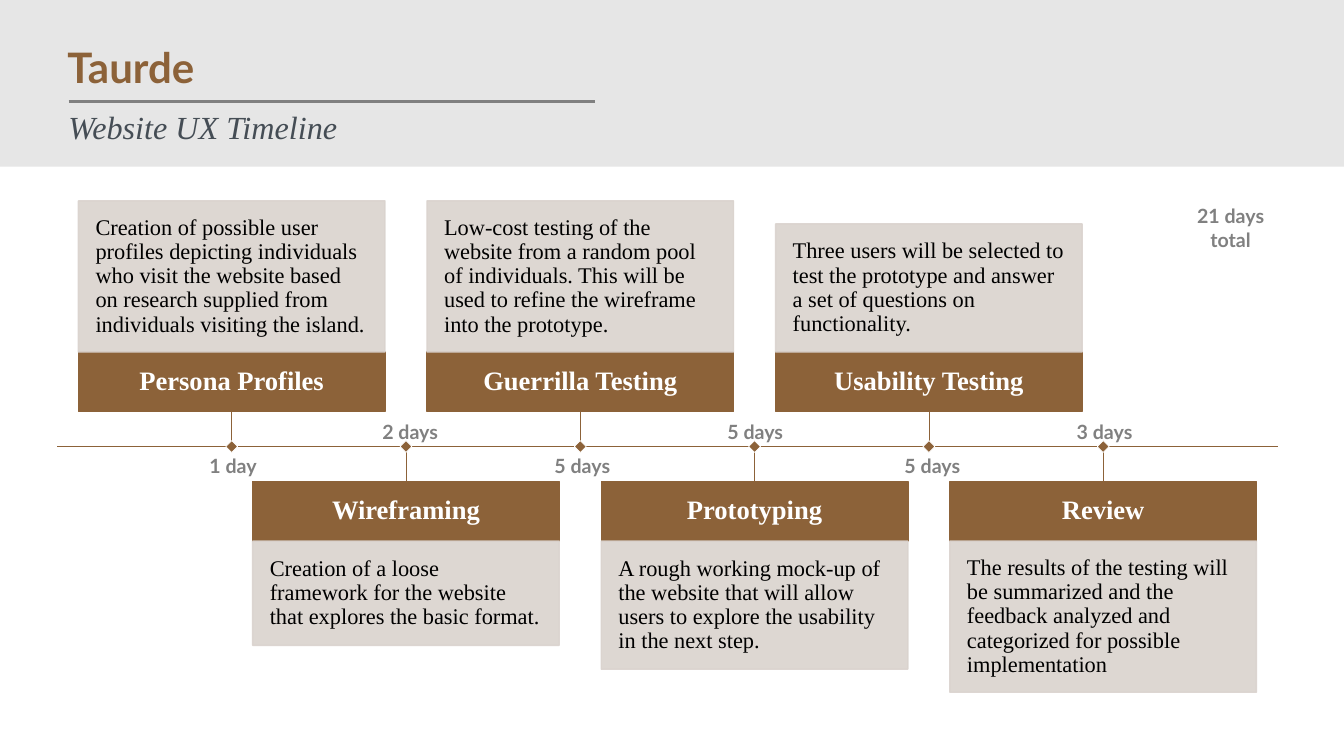
from lxml import etree
from pptx import Presentation
from pptx.dml.color import RGBColor
from pptx.enum import shapes, text
from pptx.oxml.ns import qn
from pptx.util import Pt

COLORS = {"brown": "8C6239", "sand": "DAD3CE", "band": "E6E6E6", "gray": "808080",
          "slate": "454D55", "white": "FFFFFF", "black": "000000"}
SERIF, SANS = "Times New Roman", "Lato"
LEFT, MIDDLE = text.PP_ALIGN.LEFT, text.MSO_ANCHOR.MIDDLE


def color(name):
    return RGBColor.from_string(COLORS[name])


def write(sp, words, size=16, font=SERIF, fill="black", bold=False, italic=False,
          align=text.PP_ALIGN.CENTER, anchor=MIDDLE, spacing=0.9, inset=None, wrap=True):
    tf = sp.text_frame
    tf.word_wrap = wrap
    tf.vertical_anchor = anchor
    if inset is not None:
        tf.margin_left = tf.margin_right = tf.margin_top = tf.margin_bottom = Pt(inset)
    p = tf.paragraphs[0]
    p.alignment = align
    p.line_spacing = spacing
    r = p.add_run()
    r.text = words
    r.font.size, r.font.name = Pt(size), font
    r.font.bold, r.font.italic = bold, italic
    r.font.color.rgb = color(fill)


prs = Presentation()
prs.slide_width, prs.slide_height = Pt(960), Pt(540)
s = prs.slides.add_slide(prs.slide_layouts[5])

title = s.shapes.title
title.left, title.top, title.width, title.height = Pt(41), Pt(21.5), Pt(843), Pt(57)
write(title, "Taurde", size=30, font=SANS, fill="brown", bold=True, align=LEFT)
subtitle = s.shapes.add_textbox(Pt(41.75), Pt(76), Pt(843), Pt(32.5))
write(subtitle, "Website UX Timeline", size=23, fill="slate", italic=True,
      align=LEFT, anchor=text.MSO_ANCHOR.TOP)

CARD_LEFT, CARD_W, STEP = 56, 219, 124.5
HEAD_H, AXIS_Y, GAP, DOT = 42.5, 319, 25, 6
steps = [
    ("Persona Profiles", "Creation of possible user profiles depicting individuals who visit "
     "the website based on research supplied from individuals visiting the island.",
     108, "1 day", 166.5),
    ("Wireframing", "Creation of a loose framework for the website that explores the basic "
     "format.", 74.5, "2 days", 293),
    ("Guerrilla Testing", "Low-cost testing of the website from a random pool of individuals. "
     "This will be used to refine the wireframe into the prototype.", 108, "5 days", 416),
    ("Prototyping", "A rough working mock-up of the website that will allow users to explore "
     "the usability in the next step.", 91.5, "5 days", 539.5),
    ("Usability Testing", "Three users will be selected to test the prototype and answer a set "
     "of questions on functionality.", 91.5, "5 days", 666),
    ("Review", "The results of the testing will be summarized and the feedback analyzed and "
     "categorized for possible implementation", 108, "3 days", 789),
]

rects = [(0, 0, 960, 119, "band", None, 0, "")]
lines = [(49, 72.5, 425, 72.5, "gray", 1.5), (41, AXIS_Y, 913, AXIS_Y, "brown", 1)]
dots, labels = [], [("21 days total", 839.5, 142, 79, 41, True)]
for i, (name, detail, body_h, days, label_x) in enumerate(steps):
    x = CARD_LEFT + i * STEP
    center = x + CARD_W / 2
    above = i % 2 == 0
    head_y = AXIS_Y - GAP - HEAD_H if above else AXIS_Y + GAP
    body_y = head_y - body_h if above else head_y + HEAD_H
    rects.append((x, head_y, CARD_W, HEAD_H, "brown", "brown", 1, name))
    rects.append((x, body_y, CARD_W, body_h, "sand", "sand", 1, detail))
    lines.append((center, AXIS_Y, center, AXIS_Y - GAP if above else AXIS_Y + GAP, "brown", 0.5))
    dots.append((center - DOT / 2, AXIS_Y - DOT / 2, DOT, DOT, "brown", "white", 0.5, ""))
    labels.append((days, label_x - 30, 320.5 if above else 296, 60, 24.5, False))

for x1, y1, x2, y2, stroke, width in lines:
    line = s.shapes.add_connector(shapes.MSO_CONNECTOR.STRAIGHT, Pt(x1), Pt(y1), Pt(x2), Pt(y2))
    line.line.color.rgb = color(stroke)
    line.line.width = Pt(width)
    etree.SubElement(line.element.spPr, qn("a:effectLst"))

for x, y, w, h, fill, stroke, width, words in rects + dots:
    sp = s.shapes.add_shape(shapes.MSO_SHAPE.RECTANGLE, Pt(x), Pt(y), Pt(w), Pt(h))
    sp.shadow.inherit = False
    sp.fill.solid()
    sp.fill.fore_color.rgb = color(fill)
    if stroke:
        sp.line.color.rgb = color(stroke)
        sp.line.width = Pt(width)
    else:
        sp.line.fill.background()
    if fill == "band":
        title.element.addprevious(sp.element)
    elif fill == "sand":
        for clr in sp.element.spPr.iter(qn("a:srgbClr")):
            etree.SubElement(clr, qn("a:alpha"), val="90000")
        write(sp, words, align=LEFT, inset=12.25)
    elif words:
        write(sp, words, size=19, fill="white", bold=True, inset=8)
    else:
        sp.rotation = 45

for words, x, y, w, h, wrap in labels:
    label = s.shapes.add_textbox(Pt(x), Pt(y), Pt(w), Pt(h))
    write(label, words, size=14, font=SANS, fill="gray", bold=True, spacing=1.0, wrap=wrap)

prs.save("out.pptx")
